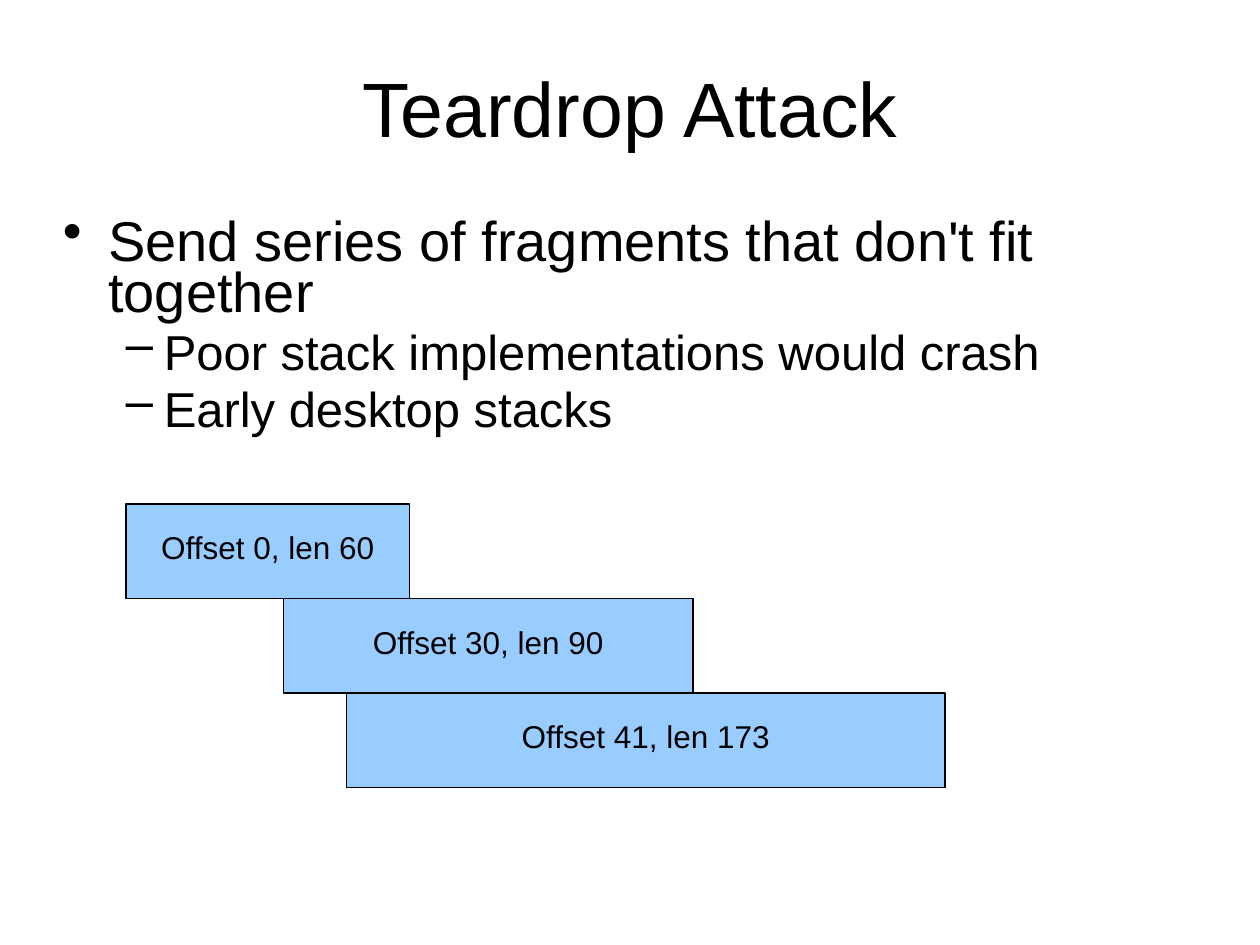
from lxml import etree
from pptx import Presentation, util as u
from pptx.dml.color import RGBColor
from pptx.enum import shapes, text
from pptx.oxml import ns

HUES = {"ink": "000000", "box": "99CCFF"}
CELL = 0.25
LEVELS = [("•", 0.36, -0.36, 32, 8), ("–", 0.8, -0.3, 28, 7)]
POINTS = [
    (0, "Send series of fragments that don't fit together"),
    (1, "Poor stack implementations would crash"),
    (1, "Early desktop stacks"),
]
FRAGMENTS = [
    (4, 9, "Offset 0, len 60"),
    (9, 13, "Offset 30, len 90"),
    (11, 19, "Offset 41, len 173"),
]


class Deck:
    """Draws styled elements on one slide, placed in grid columns and rows."""

    def __init__(self, slide):
        self.slide = slide

    def hue(self, name):
        return RGBColor.from_string(HUES[name])

    def area(self, *cells):
        return [u.Inches(cell * CELL) for cell in cells]

    def frame(self, shape, anchor, inset=(0, 0)):
        frame = shape.text_frame
        frame.word_wrap = True
        frame.auto_size = text.MSO_AUTO_SIZE.NONE
        frame.vertical_anchor = anchor
        frame.margin_left = frame.margin_right = u.Inches(inset[0])
        frame.margin_top = frame.margin_bottom = u.Inches(inset[1])
        return frame

    def label(self, para, words, size, align=text.PP_ALIGN.CENTER):
        para.text = words
        para.alignment = align
        para.line_spacing = 0.76
        para.font.name = "Arial"
        para.font.size = u.Pt(size)
        para.font.color.rgb = self.hue("ink")

    def title(self, words, *cells):
        shape = self.slide.shapes.title
        shape.left, shape.top, shape.width, shape.height = self.area(*cells)
        frame = self.frame(shape, text.MSO_ANCHOR.MIDDLE)
        self.label(frame.paragraphs[0], words, 44)

    def bullets(self, points, *cells):
        shape = self.slide.shapes.add_textbox(*self.area(*cells))
        frame = self.frame(shape, text.MSO_ANCHOR.TOP)
        for i, (level, words) in enumerate(points):
            para = frame.add_paragraph() if i else frame.paragraphs[0]
            mark, left, hang, size, gap = LEVELS[level]
            self.label(para, words, size, text.PP_ALIGN.LEFT)
            para.level = level
            para.space_before = u.Pt(gap)
            props = para._p.get_or_add_pPr()
            props.set("marL", str(u.Inches(left)))
            props.set("indent", str(u.Inches(hang)))
            bullet = etree.Element(ns.qn("a:buChar"), char=mark)
            props.find(ns.qn("a:defRPr")).addprevious(bullet)

    def box(self, words, *cells):
        kind = shapes.MSO_SHAPE.ROUNDED_RECTANGLE
        shape = self.slide.shapes.add_shape(kind, *self.area(*cells))
        shape.adjustments[0] = 0
        shape.shadow.inherit = False
        shape.fill.solid()
        shape.fill.fore_color.rgb = self.hue("box")
        shape.line.color.rgb = self.hue("ink")
        shape.line.width = u.Pt(0.75)
        frame = self.frame(shape, text.MSO_ANCHOR.MIDDLE, (0.1, 0.05))
        self.label(frame.paragraphs[0], words, 18)


def main():
    show = Presentation()
    show.slide_width, show.slide_height = u.Inches(10), u.Inches(7.5)
    deck = Deck(show.slides.add_slide(show.slide_layouts[5]))
    deck.title("Teardrop Attack", 2, 1.4, 36, 4.6)
    deck.bullets(POINTS, 2, 7, 36, 9)
    for i, (col, span, words) in enumerate(FRAGMENTS):
        deck.box(words, col, 16 + 3 * i, span, 3)
    show.save("out.pptx")


if __name__ == "__main__":
    main()
